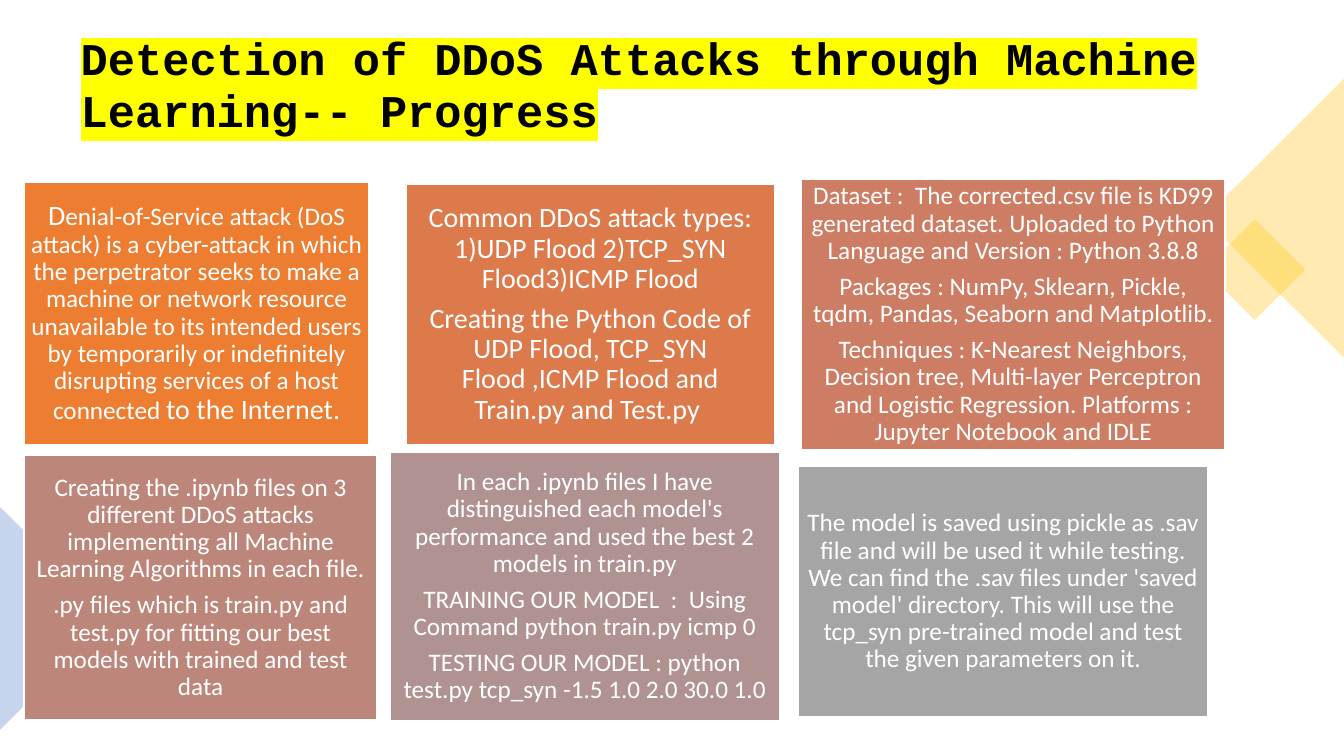
from lxml import etree
from pptx import Presentation
from pptx import util as u
from pptx.dml.color import RGBColor
from pptx.enum import shapes, text
from pptx.oxml import ns

COLORS = {
    "black": "000000", "white": "FFFFFF", "yellow": "FFFF00",
    "gold": "FFC000", "blue": "4472C4",
    "orange": "ED7D31", "copper": "DC7A4B", "coral": "CC7D64",
    "rose": "BD867B", "mauve": "B09391", "gray": "A5A5A5",
}

# Each card: position and size, colour, inset, text size, paragraphs.
# A paragraph is a string or a list of (text, size) runs.
CARDS = [
    ((0.24, 1.81, 3.42, 2.6), "orange", 0.05, 18, [[
        ("D", 20),
        ("enial-of-Service attack (DoS attack) is a cyber-attack in which the "
         "perpetrator seeks to make a machine or network resource unavailable "
         "to its intended users by temporarily or indefinitely disrupting "
         "services of a host connected ", 18),
        ("to the Internet.", 20)]]),
    ((4.03, 1.83, 3.65, 2.58), "copper", 0.08, 20, [
        "Common DDoS attack types: 1)UDP Flood 2)TCP_SYN Flood3)ICMP Flood",
        "Creating the Python Code of UDP Flood, TCP_SYN Flood ,ICMP Flood and "
        "Train.py and Test.py "]),
    ((7.95, 1.78, 4.2, 2.68), "coral", 0.07, 18, [
        "Dataset :  The corrected.csv file is KD99 generated dataset. Uploaded "
        "to Python Language and Version : Python 3.8.8",
        "Packages : NumPy, Sklearn, Pickle, tqdm, Pandas, Seaborn and "
        "Matplotlib.",
        "Techniques : K-Nearest Neighbors, Decision tree, Multi-layer "
        "Perceptron and Logistic Regression. Platforms : Jupyter Notebook and "
        "IDLE"]),
    ((0.24, 4.52, 3.5, 2.62), "rose", 0.07, 18, [
        "Creating the .ipynb files on 3 different DDoS attacks implementing "
        "all Machine Learning Algorithms in each file.",
        ".py files which is train.py and test.py for fitting our best models "
        "with trained and test data"]),
    ((3.87, 4.49, 3.86, 2.66), "mauve", 0.07, 18, [
        "In each .ipynb files I have distinguished each model's performance "
        "and used the best 2 models in train.py",
        "TRAINING OUR MODEL  :  Using Command python train.py icmp 0",
        "TESTING OUR MODEL : python test.py tcp_syn -1.5 1.0 2.0 30.0 1.0"]),
    ((7.92, 4.63, 4.06, 2.48), "gray", 0.07, 18, [
        "The model is saved using pickle as .sav file and will be used it "
        "while testing. We can find the .sav files under 'saved model' "
        "directory. This will use the tcp_syn pre-trained model and test the "
        "given parameters on it."]),
]


def rgb(name):
    return RGBColor.from_string(COLORS[name])


def add_text(paragraph, content, size=18, font="Calibri", color="white",
             bold=False, highlight=None):
    """Add one formatted run to a paragraph."""
    run = paragraph.add_run()
    run.text = content
    run.font.size = u.Pt(size)
    run.font.name = font
    run.font.bold = bold
    run.font.color.rgb = rgb(color)
    if highlight:
        mark = etree.Element(ns.qn("a:highlight"))
        etree.SubElement(mark, ns.qn("a:srgbClr"), val=COLORS[highlight])
        run._r.rPr.find(ns.qn("a:solidFill")).addnext(mark)


class ProgressSlide:
    """Holds the current slide and its shared style."""

    def __init__(self, presentation):
        self.slide = presentation.slides.add_slide(presentation.slide_layouts[5])

    def frame(self, shape, inset_x, inset_y):
        frame = shape.text_frame
        frame.word_wrap = True
        frame.auto_size = text.MSO_AUTO_SIZE.NONE
        frame.vertical_anchor = text.MSO_ANCHOR.MIDDLE
        frame.margin_left = frame.margin_right = u.Inches(inset_x)
        frame.margin_top = frame.margin_bottom = u.Inches(inset_y)
        return frame

    def title(self, content, box):
        title = self.slide.shapes.title
        title.left, title.top, title.width, title.height = map(u.Inches, box)
        paragraph = self.frame(title, 0.1, 0.05).paragraphs[0]
        paragraph.alignment = text.PP_ALIGN.LEFT
        paragraph.line_spacing = 0.95
        add_text(paragraph, content, size=32.4, font="Courier New",
                 color="black", bold=True, highlight="yellow")

    def block(self, kind, box, color):
        shape = self.slide.shapes.add_shape(kind, *map(u.Inches, box))
        shape.shadow.inherit = False
        shape.fill.solid()
        shape.fill.fore_color.rgb = rgb(color)
        return shape

    def decoration(self, kind, box, color, rotation):
        shape = self.block(kind, box, color)
        shape.rotation = rotation
        shape.line.fill.background()
        fill_color = shape._element.spPr.find(".//" + ns.qn("a:srgbClr"))
        etree.SubElement(fill_color, ns.qn("a:alpha"), val="30000")

    def card(self, box, color, inset, size, paragraphs):
        shape = self.block(shapes.MSO_SHAPE.RECTANGLE, box, color)
        shape.line.color.rgb = rgb("white")
        shape.line.width = u.Pt(1)
        frame = self.frame(shape, inset, inset)
        for index, content in enumerate(paragraphs):
            paragraph = frame.add_paragraph() if index else frame.paragraphs[0]
            paragraph.alignment = text.PP_ALIGN.CENTER
            paragraph.line_spacing = 0.9
            paragraph.space_after = u.Pt(size * 0.35)
            runs = [(content, size)] if isinstance(content, str) else content
            for words, run_size in runs:
                add_text(paragraph, words, size=run_size)


def main():
    presentation = Presentation()
    presentation.slide_width = u.Inches(13.33)
    presentation.slide_height = u.Inches(7.5)
    progress = ProgressSlide(presentation)

    # Title
    progress.title("Detection of DDoS Attacks through Machine Learning-- Progress",
                   (0.7, 0.35, 11.93, 1))

    # Translucent shapes at the slide edges
    kinds = shapes.MSO_SHAPE
    progress.decoration(kinds.RECTANGLE, (12.09, 2.32, 0.71, 0.71), "gold", 45)
    progress.decoration(kinds.ISOSCELES_TRIANGLE, (11.25, 1.47, 2.77, 1.39),
                        "gold", 270)
    progress.decoration(kinds.ISOSCELES_TRIANGLE, (-0.55, 5.58, 2.21, 1.11),
                        "blue", 90)

    # Six progress cards
    for card in CARDS:
        progress.card(*card)

    presentation.save("out.pptx")


if __name__ == "__main__":
    main()
